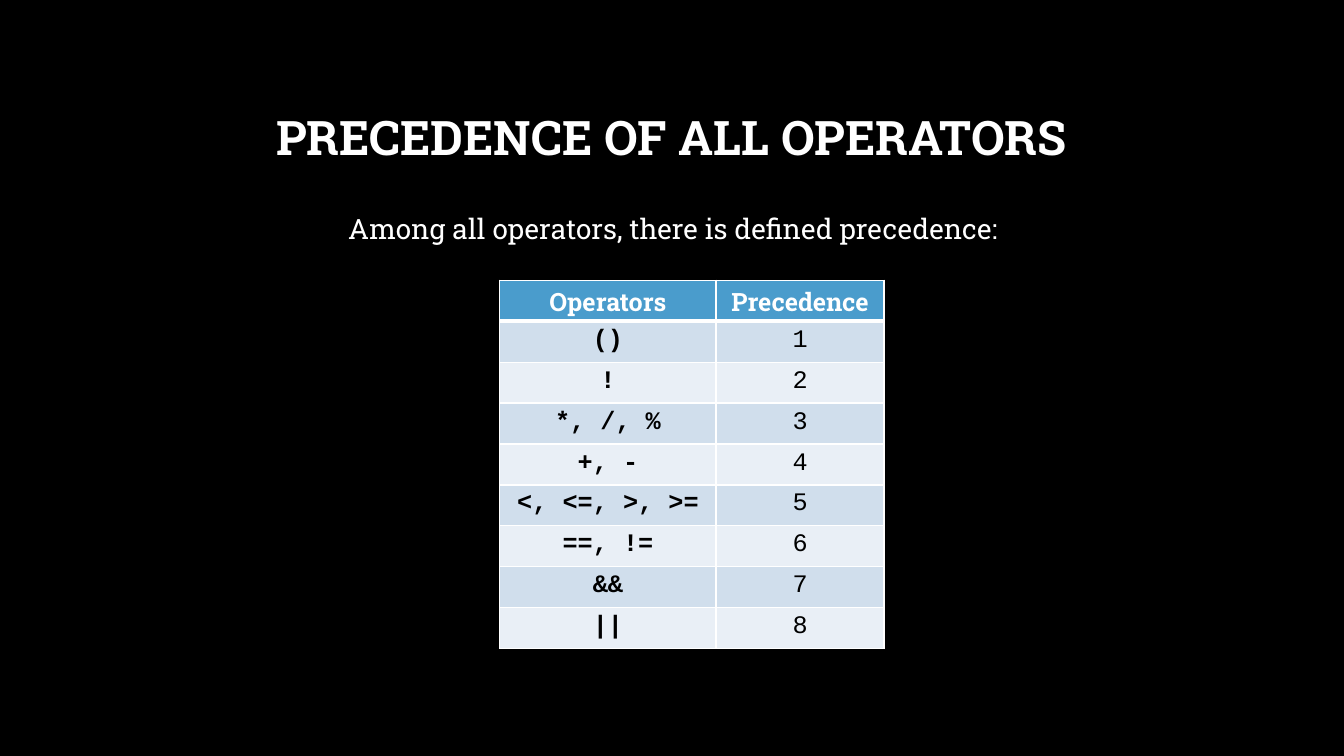
from dataclasses import dataclass

from lxml.etree import SubElement
from pptx import Presentation
from pptx.dml.color import RGBColor as Rgb
from pptx.enum.text import MSO_ANCHOR as Anchor, PP_ALIGN as Align
from pptx.oxml.ns import qn
from pptx.slide import Slide
from pptx.table import _Cell as Cell
from pptx.text.text import _Paragraph as Para
from pptx.util import Pt

PX = 9525  # EMU per px, 96 px to the inch


@dataclass(frozen=True)
class Theme:
    back: str = "000000"
    light: str = "FFFFFF"
    dark: str = "000000"
    head: str = "4A9CCC"
    bands: tuple[str, str] = ("D0DEEC", "E9EFF6")
    slab: str = "Roboto Slab"
    mono: str = "Courier New"
    title: int = 34
    body: int = 20
    cell: int = 18


THEME = Theme()


@dataclass(frozen=True)
class Style:
    font: str
    size: int
    color: str
    bold: bool = False


@dataclass(frozen=True)
class Label:
    text: str
    box: tuple[int, int, int, int]
    style: Style
    anchor: Anchor
    lines: float
    before: int = 0


LABELS = (
    Label("PRECEDENCE OF ALL OPERATORS", (96, 64, 1087, 139),
          Style(THEME.slab, THEME.title, THEME.light, True), Anchor.MIDDLE, 0.9),
    Label("Among all operators, there is defined precedence:", (83, 190, 1116, 47),
          Style(THEME.slab, THEME.body, THEME.light), Anchor.TOP, 1.2, 10),
)

HEADS = ("Operators", "Precedence")
LEVELS = ("()", "!", "*, /, %", "+, -", "<, <=, >, >= ", "==, !=", "&&", "||")
LEFT, TOP, ROW = 476, 267, 39
COLS = (206, 160)


def write(para: Para, text: str, style: Style) -> None:
    para.alignment = Align.CENTER
    run = para.add_run()
    run.text = text
    font = run.font
    font.name, font.size, font.bold = style.font, Pt(style.size), style.bold
    font.color.rgb = Rgb.from_string(style.color)


def add_label(slide: Slide, label: Label) -> None:
    frame = slide.shapes.add_textbox(*(n * PX for n in label.box)).text_frame
    frame.word_wrap = True
    frame.vertical_anchor = label.anchor
    para = frame.paragraphs[0]
    para.line_spacing = label.lines
    para.space_before = Pt(label.before)
    write(para, label.text, label.style)


def add_edge(cell: Cell, side: str, width: int) -> None:
    line = SubElement(cell._tc.get_or_add_tcPr(), qn(f"a:{side}"), w=str(Pt(width)))
    fill = SubElement(line, qn("a:solidFill"))
    SubElement(fill, qn("a:srgbClr"), val=THEME.light)


def fill_cell(cell: Cell, text: str, style: Style, color: str,
              top: int = 1, base: int = 1) -> None:
    """Write one cell; top and base are its edge widths in points."""
    write(cell.text_frame.paragraphs[0], text, style)
    for side, width in (("lnL", 1), ("lnR", 1), ("lnT", top), ("lnB", base)):
        add_edge(cell, side, width)
    cell.fill.solid()
    cell.fill.fore_color.rgb = Rgb.from_string(color)


def add_grid(slide: Slide) -> None:
    count = len(LEVELS) + 1
    grid = slide.shapes.add_table(count, len(COLS), LEFT * PX, TOP * PX,
                                  sum(COLS) * PX, count * ROW * PX).table
    grid.horz_banding = False
    for col, width in zip(grid.columns, COLS):
        col.width = width * PX
    head = Style(THEME.slab, THEME.cell, THEME.light, True)
    for col, text in enumerate(HEADS):
        fill_cell(grid.cell(0, col), text, head, THEME.head, base=3)
    for row, signs in enumerate(LEVELS, 1):
        color = THEME.bands[(row - 1) % 2]
        for col, text in enumerate((signs, str(row))):
            style = Style(THEME.mono, THEME.cell, THEME.dark, col == 0)
            fill_cell(grid.cell(row, col), text, style, color,
                      top=3 if row == 1 else 1)


def main() -> None:
    deck = Presentation()
    deck.slide_width, deck.slide_height = 1280 * PX, 720 * PX
    slide = deck.slides.add_slide(deck.slide_layouts[6])
    back = slide.background.fill
    back.solid()
    back.fore_color.rgb = Rgb.from_string(THEME.back)
    for label in LABELS:
        add_label(slide, label)
    add_grid(slide)
    deck.save("out.pptx")


if __name__ == "__main__":
    main()
